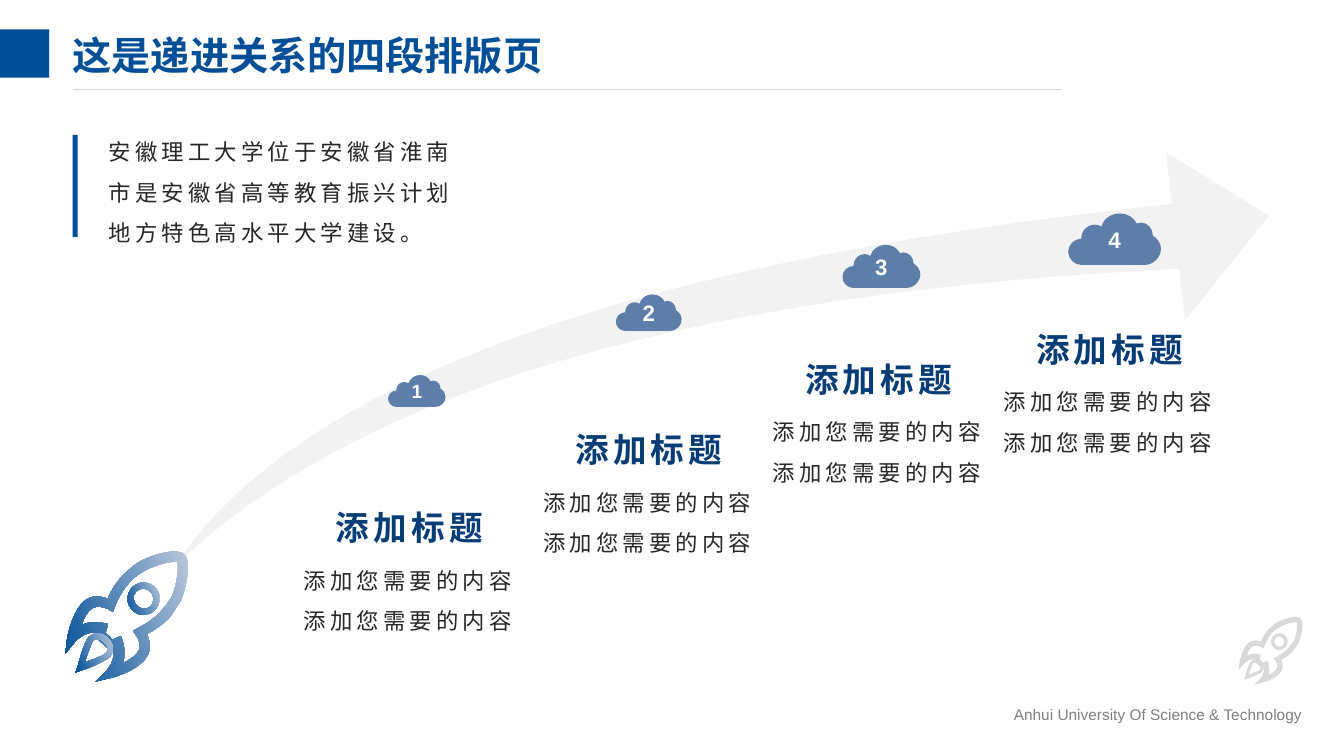
"""Build a slide with four rising stages along a curved arrow."""
from lxml.etree import SubElement
from pptx import Presentation
from pptx.dml.color import RGBColor
from pptx.enum.shapes import MSO_CONNECTOR, MSO_SHAPE
from pptx.enum.text import MSO_ANCHOR, MSO_AUTO_SIZE, PP_ALIGN
from pptx.oxml.ns import qn
from pptx.util import Cm, Pt

COLORS = {
    "blue": "004E98", "navy": "083C77", "cloud": "5C7EA8", "pale": "BECBDC",
    "text": "262626", "footer": "808080", "line": "D9D9D9", "arrow": "F2F2F2",
    "white": "FFFFFF",
}
COLORS = {name: RGBColor.from_string(value) for name, value in COLORS.items()}
CHINESE_FONT = "Noto Sans CJK SC"
UNIT = Cm(0.0254)

CLOUD = [[
    (84, 22), (84, 15, 79, 9, 72, 9), (71, 9, 69, 10, 68, 10),
    (65, 4, 59, 0, 51, 0), (43, 0, 35, 5, 33, 13), (31, 12, 29, 11, 26, 11),
    (19, 11, 13, 17, 13, 25), (6, 25, 0, 31, 0, 38), (0, 45, 6, 51, 13, 51),
    (76, 51), (84, 51, 92, 44, 92, 35), (92, 30, 89, 25, 84, 22),
]]
ROCKET_BODY = [
    [
        (65, 648), (67, 631), (68, 628, 73, 602, 87, 594),
        (93, 591, 99, 591, 107, 594), (111, 584, 117, 576, 122, 571),
        (127, 566, 132, 561, 139, 557), (156, 548, 178, 544, 183, 550),
        (189, 555, 187, 576, 180, 594), (180, 595),
        (176, 601, 172, 608, 168, 613), (162, 619, 155, 624, 146, 629),
        (149, 637, 150, 644, 147, 649), (140, 664, 115, 671, 112, 672),
        (95, 676), (107, 664), (111, 659, 114, 651, 113, 645), (110, 646),
        (108, 644), (104, 640, 100, 637, 96, 633), (93, 631), (94, 628),
        (94, 627), (87, 628, 81, 630, 76, 635),
    ],
    [
        (144, 566), (138, 569, 133, 573, 129, 577),
        (124, 583, 118, 591, 114, 602), (112, 607), (107, 604),
        (103, 602, 96, 601, 92, 603), (87, 606, 83, 613, 81, 620),
        (87, 617, 94, 617, 102, 618), (107, 619), (106, 624),
        (105, 626, 105, 627, 105, 628), (107, 630, 110, 632, 112, 635),
        (113, 634, 114, 634, 115, 633), (120, 631), (122, 637),
        (124, 644, 124, 651, 122, 658), (128, 655, 136, 650, 138, 645),
        (140, 641, 138, 634, 135, 630), (132, 626), (137, 623),
        (147, 618, 155, 612, 160, 606), (164, 602, 168, 596, 171, 591),
        (177, 575, 177, 561, 176, 557), (172, 557, 159, 558, 144, 566),
    ],
]
ROCKET_WINDOW = [
    [
        (132, 606), (125, 599, 125, 590, 131, 583),
        (137, 577, 146, 576, 153, 582), (160, 588, 160, 598, 154, 605),
        (148, 611, 138, 612, 132, 606),
    ],
    [
        (149, 587), (145, 583, 139, 583, 135, 587),
        (131, 591, 132, 597, 136, 601), (140, 605, 146, 605, 150, 601),
        (153, 597, 153, 590, 149, 587),
    ],
]
ROCKET_FLAME = [
    [
        (75, 667), (77, 662), (78, 657, 84, 636, 88, 632),
        (92, 627, 101, 627, 107, 633), (113, 638, 114, 647, 109, 652),
        (105, 656, 85, 664, 81, 665),
    ],
    [
        (103, 637), (99, 633, 95, 633, 92, 636), (91, 638, 87, 648, 84, 657),
        (94, 654, 103, 650, 105, 648), (108, 645, 107, 640, 103, 637),
    ],
]


def draw_outline(contours, left, top, size):
    """Draw closed contours whose segments are lines (x, y) or cubic curves."""
    scale = UNIT * size
    builder = None
    for contour in contours:
        points = []
        for segment in contour:
            pairs = [(x * scale, y * scale) for x, y in zip(segment[::2], segment[1::2])]
            points += pairs * (3 // len(pairs))
        start = points[2]
        if builder is None:
            builder = page.shapes.build_freeform(*start, scale=1.0)
        else:
            builder.move_to(*start)
        builder.add_line_segments(points[3:], close=True)
    outline = builder.convert_to_shape(Cm(left), Cm(top))
    outline.shadow.inherit = False
    outline.line.fill.background()
    path = outline._element.find(".//" + qn("a:path"))
    lines = path.findall(qn("a:lnTo"))
    for first in range(0, len(lines), 3):
        curve = SubElement(path, qn("a:cubicBezTo"))
        lines[first].addprevious(curve)
        for line in lines[first:first + 3]:
            curve.append(line[0])
            path.remove(line)
    return outline


def write(frame, lines, size, font, color, bold=False, tracking=0, spacing=1.0,
          align=PP_ALIGN.LEFT):
    """Fill a text frame with one formatted run per paragraph."""
    for index, line in enumerate(lines):
        para = frame.add_paragraph() if index else frame.paragraphs[0]
        para.alignment = align
        para.line_spacing = spacing
        para.space_before = Pt(0)
        span = para.add_run()
        span.text = line
        span.font.size = Pt(size)
        span.font.name = font
        span.font.bold = bold
        span.font.color.rgb = COLORS[color]
        properties = span._r.get_or_add_rPr()
        properties.set("spc", str(tracking * 100))
        SubElement(properties, qn("a:ea")).set("typeface", CHINESE_FONT)


deck = Presentation()
deck.slide_width, deck.slide_height = Cm(33.87), Cm(19.05)
page = deck.slides.add_slide(deck.slide_layouts[5])

title = page.shapes.title
title.left, title.top, title.width, title.height = Cm(1.83), Cm(0.53), Cm(24.16), Cm(1.85)
frame = title.text_frame
frame.auto_size = MSO_AUTO_SIZE.NONE
frame.vertical_anchor = MSO_ANCHOR.MIDDLE
frame.margin_left = frame.margin_right = frame.margin_top = frame.margin_bottom = 0
write(frame, ["这是递进关系的四段排版页"], 28, "Montserrat", "blue", True, spacing=0.9)

rule = page.shapes.add_connector(MSO_CONNECTOR.STRAIGHT, Cm(1.83), Cm(2.26), Cm(26.77), Cm(2.26))
rule.line.color.rgb = COLORS["line"]
rule.line.width = Pt(0.5)
SubElement(rule._element.spPr, qn("a:effectLst"))

for kind, left, top, width, height, color in [
    (MSO_SHAPE.RECTANGLE, 0, 0.74, 1.24, 1.22, "blue"),
    (MSO_SHAPE.RECTANGLE, 1.83, 3.4, 0.13, 2.57, "blue"),
    (MSO_SHAPE.SWOOSH_ARROW, 4.42, 3.84, 27.56, 10.41, "arrow"),
]:
    shape = page.shapes.add_shape(kind, Cm(left), Cm(top), Cm(width), Cm(height))
    shape.shadow.inherit = False
    shape.fill.solid()
    shape.fill.fore_color.rgb = COLORS[color]
    shape.line.fill.background()
    if kind == MSO_SHAPE.SWOOSH_ARROW:
        shape.adjustments[0], shape.adjustments[1] = 0.157, 0.235

for part in (ROCKET_BODY, ROCKET_WINDOW, ROCKET_FLAME):
    rocket = draw_outline(part, 0, 0, 1)
    rocket.fill.gradient()
    rocket.fill.gradient_angle = 200
    for stop, color in zip(rocket.fill.gradient_stops, ("pale", "blue")):
        stop.color.rgb = COLORS[color]
    rocket.fill.gradient_stops[0].position = 0
    rocket.fill.gradient_stops[1].position = 1
    small_rocket = draw_outline(part, 30.36, 8.32, 0.52)
    small_rocket.fill.solid()
    small_rocket.fill.fore_color.rgb = COLORS["line"]

heading_style = (24, CHINESE_FONT, "navy", True, 3)
body_style = (16, CHINESE_FONT, "text", False, 3, 1.5)
boxes = [
    (2.74, 3.15, 8.89, 2.97,
     ["安徽理工大学位于安徽省淮南市是安徽省高等教育振兴计划地方特色高水平大学建设。"], body_style),
    (25.55, 17.78, 7.6, 0.5, ["Anhui University Of Science & Technology"],
     (11, "Arial", "footer")),
]
stages = [
    (8.46, 12.78, 9.78, 9.45, 0.62, 13.6),
    (14.5, 10.82, 15.52, 7.42, 0.71, 16),
    (20.29, 9.04, 21.23, 6.17, 0.84, 16),
    (26.11, 8.28, 26.92, 5.38, 1, 16),
]
for number, (left, top, cloud_left, cloud_top, size, digit_size) in enumerate(stages, 1):
    cloud = draw_outline(CLOUD, cloud_left, cloud_top, size)
    cloud.fill.solid()
    cloud.fill.fore_color.rgb = COLORS["cloud"]
    cloud.text_frame.vertical_anchor = MSO_ANCHOR.MIDDLE
    write(cloud.text_frame, [str(number)], digit_size, "Arial", "white", True,
          align=PP_ALIGN.CENTER)
    boxes.append((left, top, 3.85, 1.02, ["添加标题"], heading_style))
    boxes.append((left - 0.81, top + 1.17, 5.69, 1.93, ["添加您需要的内容"] * 2, body_style))

for left, top, width, height, lines, style in boxes:
    box = page.shapes.add_textbox(Cm(left), Cm(top), Cm(width), Cm(height))
    frame = box.text_frame
    frame.word_wrap = True
    frame.margin_left = frame.margin_right = frame.margin_top = frame.margin_bottom = 0
    write(frame, lines, *style)

deck.save("out.pptx")
